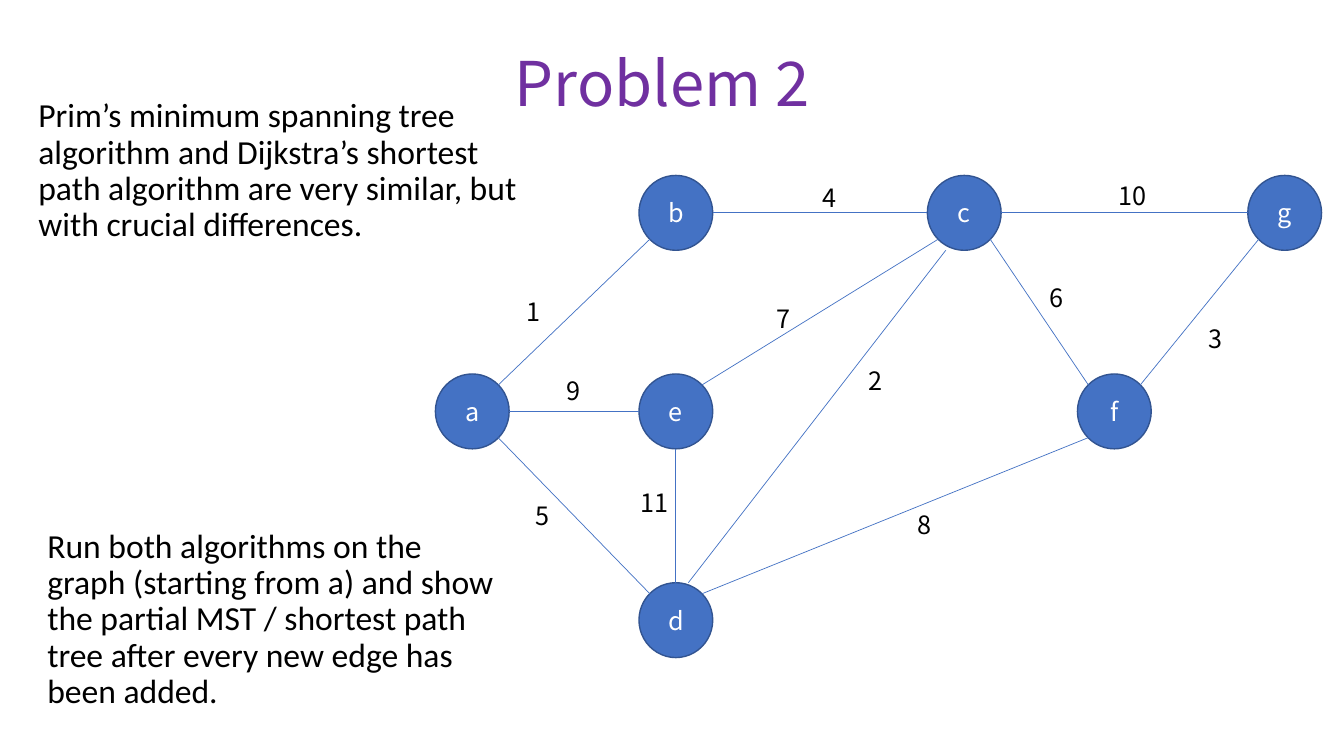
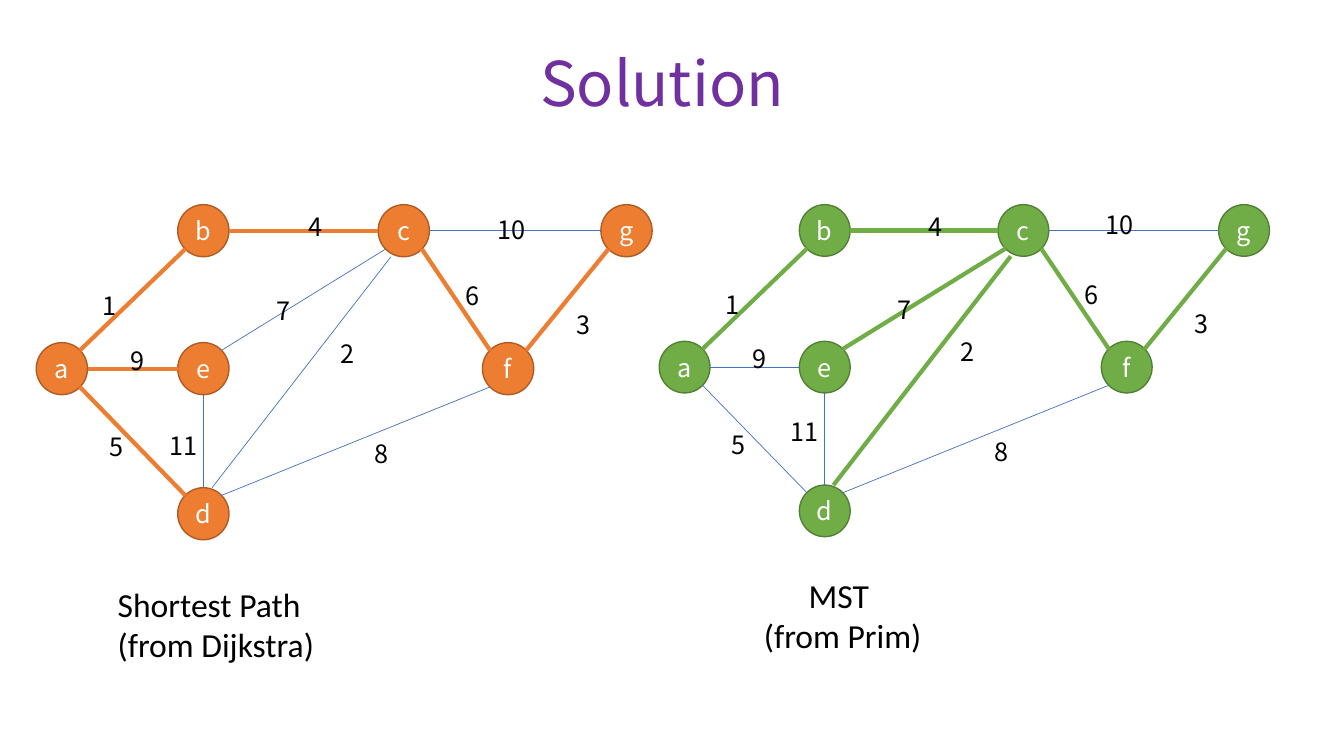
from dataclasses import dataclass, field
from typing import NamedTuple

from lxml import etree
from pptx import Presentation
from pptx import util as u
from pptx.dml.color import RGBColor
from pptx.enum import shapes, text
from pptx.oxml import ns

COLORS = {
    "title": "7030A0", "text": "000000", "node_text": "FFFFFF",
    "blue": "4472C4", "blue_line": "325491",
    "orange": "ED7D31", "orange_line": "AF5C24",
    "green": "70AD47", "green_line": "538035",
}
SANS, BODY = "Noto Sans CJK SC", "Calibri"
LEFT, CENTER = text.PP_ALIGN.LEFT, text.PP_ALIGN.CENTER
TOP, MIDDLE = text.MSO_ANCHOR.TOP, text.MSO_ANCHOR.MIDDLE

# Points on a node's outline, as fractions of its width and height
SITES = {
    "n": (0.5, 0), "s": (0.5, 1), "w": (0, 0.5), "e": (1, 0.5),
    "nw": (0.15, 0.15), "ne": (0.85, 0.15), "sw": (0.15, 0.85), "se": (0.85, 0.85),
    "ssw": (0.25, 1), "nne": (0.67, 0),
}


class Point(NamedTuple):
    x: float
    y: float


class Box(NamedTuple):
    x: float
    y: float
    w: float
    h: float


class Edge(NamedTuple):
    weight: int
    start: str
    start_site: str
    end: str
    end_site: str
    label: Point


@dataclass
class GraphView:
    """One drawing of the graph; heavy holds edge weights, moved holds label positions."""
    origin: Point
    scale: float
    color: str
    heavy: set[int] = field(default_factory=set)
    moved: dict[int, Point] = field(default_factory=dict)


NODE_W, NODE_H = 52.7, 53.5
COL_2, ROW_2, ROW_3 = 145.4, 141.8, 290.9
NODES = {
    "a": Point(0, ROW_2), "b": Point(COL_2, 0), "c": Point(351.4, 0),
    "d": Point(COL_2, ROW_3), "e": Point(COL_2, ROW_2),
    "f": Point(458.6, ROW_2), "g": Point(580.3, 0),
}
EDGES = [
    Edge(1, "b", "sw", "a", "ne", Point(58.3, 82.8)),
    Edge(2, "c", "ssw", "d", "nne", Point(302.4, 131.8)),
    Edge(3, "g", "sw", "f", "ne", Point(545, 102.2)),
    Edge(4, "b", "e", "c", "w", Point(269.3, 1.4)),
    Edge(5, "a", "se", "d", "nw", Point(64.8, 228.2)),
    Edge(6, "c", "se", "f", "nw", Point(431.3, 72.7)),
    Edge(7, "c", "sw", "e", "ne", Point(236.9, 87.8)),
    Edge(8, "f", "sw", "d", "ne", Point(337, 234.7)),
    Edge(9, "a", "e", "e", "w", Point(86.4, 139)),
    Edge(10, "c", "e", "g", "w", Point(481, 0)),
    Edge(11, "e", "s", "d", "n", Point(139.7, 218.9)),
]

PROBLEM = GraphView(Point(311, 125.3), 1, "blue")
DIJKSTRA = GraphView(Point(25.9, 146.2), 0.695, "orange", {1, 3, 4, 5, 6, 9},
                     {10: Point(348.5, 149.8), 11: Point(113.8, 303.8)})
PRIM = GraphView(Point(470.9, 146.2), 0.6886, "green", {1, 2, 3, 4, 6, 7},
                 {10: Point(782.6, 146.2), 11: Point(557.3, 293.8)})


def rgb(name: str) -> RGBColor:
    return RGBColor.from_string(COLORS[name])


def points(*values: float) -> list[u.Length]:
    return [u.Pt(v) for v in values]


def write(sp, content: str, size: float, font: str = SANS, color: str = "text",
          align=LEFT, anchor=TOP) -> None:
    """Put formatted text in a shape; a vertical tab makes a line break."""
    tf = sp.text_frame
    tf.text = ""
    tf.word_wrap = True
    tf.auto_size = text.MSO_AUTO_SIZE.NONE
    tf.vertical_anchor = anchor
    p = tf.paragraphs[0]
    p.text = content
    p.alignment = align
    for r in p.runs:
        r.font.size = u.Pt(size)
        r.font.name = font
        r.font.color.rgb = rgb(color)


def place(sp, box: Box) -> None:
    sp.left, sp.top, sp.width, sp.height = points(*box)


def set_title(slide, content: str) -> None:
    sp = slide.shapes.title
    place(sp, Box(59, 9.4, 828, 104.4))
    write(sp, content, 44, color="title", align=CENTER, anchor=MIDDLE)
    sp.text_frame.paragraphs[0].line_spacing = 0.9


def set_body(sp, content: str, box: Box) -> None:
    place(sp, box)
    write(sp, content, 24, BODY)
    p = sp.text_frame.paragraphs[0]
    p.line_spacing = 0.9
    p.space_before = u.Pt(10)
    pPr = p._p.get_or_add_pPr()
    pPr.set("marL", "0")
    pPr.set("indent", "0")
    etree.SubElement(pPr, ns.qn("a:buNone"))


def add_text(parent, content: str, box: Box, size: float, font: str = SANS, align=LEFT) -> None:
    write(parent.add_textbox(*points(*box)), content, size, font, align=align)


def add_node(parent, name: str, box: Box, color: str) -> None:
    sp = parent.add_shape(shapes.MSO_SHAPE.OVAL, *points(*box))
    sp.shadow.inherit = False
    sp.fill.solid()
    sp.fill.fore_color.rgb = rgb(color)
    sp.line.color.rgb = rgb(color + "_line")
    sp.line.width = u.Pt(1)
    write(sp, name, 18, color="node_text", align=CENTER, anchor=MIDDLE)
    tf = sp.text_frame
    tf.margin_left = tf.margin_right = tf.margin_top = tf.margin_bottom = 0


def add_edge(parent, start: Point, end: Point, color: str, width: float) -> None:
    line = parent.add_connector(shapes.MSO_CONNECTOR.STRAIGHT, *points(*start, *end))
    line.line.color.rgb = rgb(color)
    line.line.width = u.Pt(width)
    etree.SubElement(line._element.spPr, ns.qn("a:effectLst"))


def draw_graph(parent, view: GraphView) -> None:
    def project(x: float, y: float) -> Point:
        return Point(view.origin.x + x * view.scale, view.origin.y + y * view.scale)

    def outline_point(node: str, site: str) -> Point:
        (x, y), (fx, fy) = NODES[node], SITES[site]
        return project(x + fx * NODE_W, y + fy * NODE_H)

    for name, corner in NODES.items():
        box = Box(*project(*corner), NODE_W * view.scale, NODE_H * view.scale)
        add_node(parent, name, box, view.color)
    for edge in EDGES:
        heavy = edge.weight in view.heavy
        add_edge(parent, outline_point(edge.start, edge.start_site),
                 outline_point(edge.end, edge.end_site),
                 view.color if heavy else "blue", 3 if heavy else 0.5)
    for edge in EDGES:
        corner = view.moved.get(edge.weight, project(*edge.label))
        size = (40, 28.8) if edge.weight > 9 else (33 * view.scale, 28.8 * view.scale)
        add_text(parent, str(edge.weight), Box(*corner, *size), 18)


def build_problem(prs) -> None:
    slide = prs.slides.add_slide(prs.slide_layouts.get_by_name("Two Content"))
    set_title(slide, "Problem 2")
    _, intro, task = slide.placeholders
    set_body(intro, "Prim’s minimum spanning tree algorithm and Dijkstra’s shortest path "
             "algorithm are very similar, but with crucial differences.",
             Box(20.2, 67, 370, 114.5))
    set_body(task, "Run both algorithms on the graph (starting from a) and show the partial "
             "MST / shortest path tree after every new edge has been added.",
             Box(26.6, 374.4, 333.4, 147.6))
    draw_graph(slide.shapes, PROBLEM)


def build_solution(prs) -> None:
    slide = prs.slides.add_slide(prs.slide_layouts.get_by_name("Title Only"))
    set_title(slide, "Solution")
    for view in (PRIM, DIJKSTRA):
        draw_graph(slide.shapes.add_group_shape().shapes, view)
    add_text(slide.shapes, "MST \v(from Prim)", Box(495.4, 406.8, 213, 65.5), 24, BODY, CENTER)
    add_text(slide.shapes, "Shortest Path\v(from Dijkstra)", Box(77, 413.3, 213, 65.5), 24, BODY)


def main() -> None:
    prs = Presentation()
    prs.slide_width, prs.slide_height = points(960, 540)
    build_problem(prs)
    build_solution(prs)
    prs.save("out.pptx")


if __name__ == "__main__":
    main()
